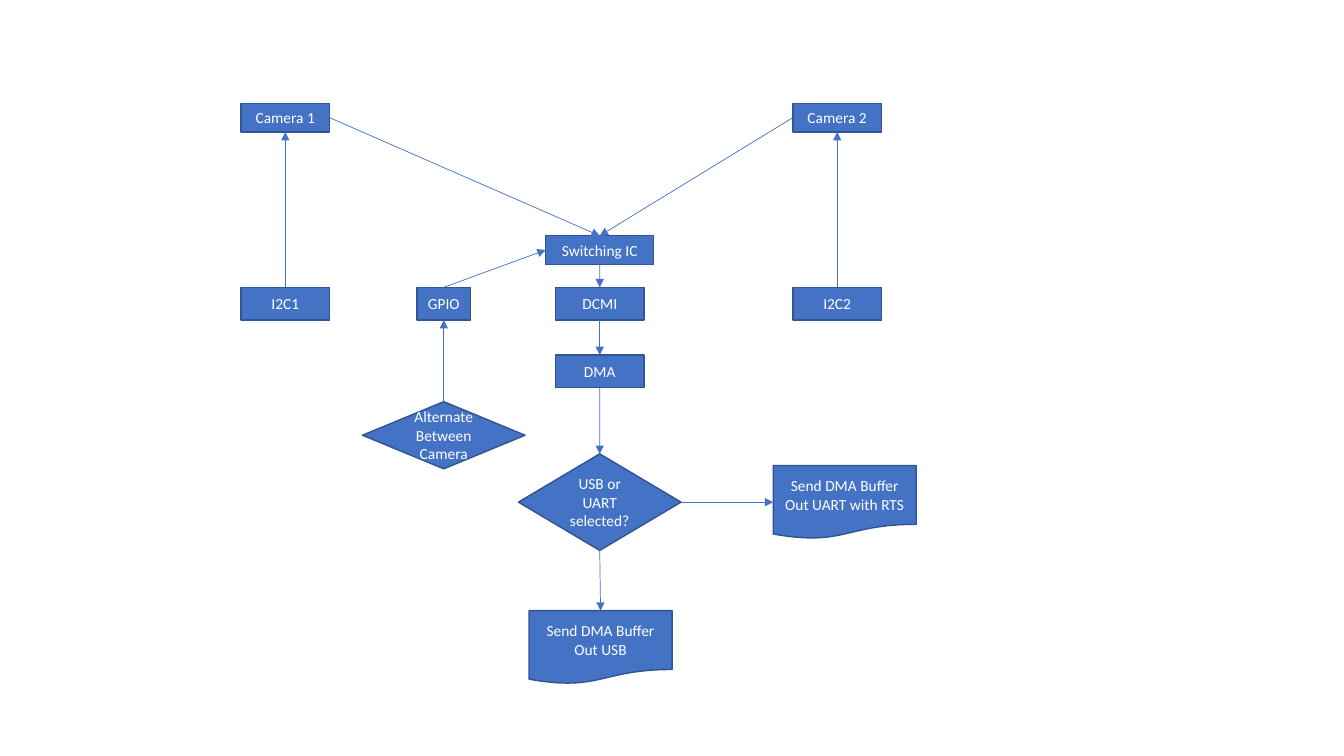
from lxml.etree import SubElement
from pptx import Presentation
from pptx.dml.color import RGBColor
from pptx.enum.shapes import MSO_CONNECTOR, MSO_SHAPE
from pptx.enum.text import MSO_ANCHOR, PP_ALIGN
from pptx.oxml.ns import qn
from pptx.util import Pt

# Content: column centres, shape kinds with their sizes, nodes and arrows
COLUMNS = {"left": 203.8, "gpio": 317, "main": 428.4, "right": 598}
CAMERA_TOP, PORT_TOP = 73.9, 205.2

KINDS = {
    "camera": (MSO_SHAPE.RECTANGLE, 63.4, 20.4),
    "switch": (MSO_SHAPE.RECTANGLE, 77.2, 20.4),
    "block": (MSO_SHAPE.RECTANGLE, 63.4, 23.4),
    "pin": (MSO_SHAPE.RECTANGLE, 38.2, 23.4),
    "flat decision": (MSO_SHAPE.FLOWCHART_DECISION, 116.2, 48),
    "decision": (MSO_SHAPE.FLOWCHART_DECISION, 116.2, 69),
    "document": (MSO_SHAPE.FLOWCHART_DOCUMENT, 102.2, 52.4),
}

# text, kind, centre, top
NODES = [
    ("Camera 1", "camera", COLUMNS["left"], CAMERA_TOP),
    ("Camera 2", "camera", COLUMNS["right"], CAMERA_TOP),
    ("Switching IC", "switch", COLUMNS["main"], 168.4),
    ("I2C1", "block", COLUMNS["left"], PORT_TOP),
    ("GPIO", "pin", COLUMNS["gpio"], PORT_TOP),
    ("DCMI", "block", COLUMNS["main"], PORT_TOP),
    ("I2C2", "block", COLUMNS["right"], PORT_TOP),
    ("DMA", "block", COLUMNS["main"], 253.6),
    ("Alternate Between Camera", "flat decision", COLUMNS["gpio"], 286.9),
    ("USB or UART selected?", "decision", COLUMNS["main"], 324.2),
    ("Send DMA Buffer Out UART with RTS", "document", 603.4, 332.5),
    ("Send DMA Buffer Out USB", "document", 429, 436.2),
]

TOP, LEFT, BOTTOM, RIGHT = range(4)
ARROWS = [
    ("Camera 1", RIGHT, "Switching IC", TOP),
    ("Camera 2", LEFT, "Switching IC", TOP),
    ("I2C1", TOP, "Camera 1", BOTTOM),
    ("I2C2", TOP, "Camera 2", BOTTOM),
    ("GPIO", TOP, "Switching IC", LEFT),
    ("Alternate Between Camera", TOP, "GPIO", BOTTOM),
    ("Switching IC", BOTTOM, "DCMI", TOP),
    ("DCMI", BOTTOM, "DMA", TOP),
    ("DMA", BOTTOM, "USB or UART selected?", TOP),
    ("USB or UART selected?", RIGHT, "Send DMA Buffer Out UART with RTS", LEFT),
    ("USB or UART selected?", BOTTOM, "Send DMA Buffer Out USB", TOP),
]

BLUE, OUTLINE, WHITE = "4472C4", "325491", "FFFFFF"


def paint(color_format, hex_color):
    color_format.rgb = RGBColor.from_string(hex_color)


def add_node(slide, text, kind, center, top):
    preset, width, height = KINDS[kind]
    shape = slide.shapes.add_shape(
        preset, Pt(center - width / 2), Pt(top), Pt(width), Pt(height))
    shape.shadow.inherit = False
    shape.fill.solid()
    paint(shape.fill.fore_color, BLUE)
    paint(shape.line.color, OUTLINE)
    shape.line.width = Pt(1)

    text_frame = shape.text_frame
    text_frame.text = text
    text_frame.word_wrap = True
    text_frame.vertical_anchor = MSO_ANCHOR.MIDDLE
    paragraph = text_frame.paragraphs[0]
    paragraph.alignment = PP_ALIGN.CENTER
    font = paragraph.runs[0].font
    font.name, font.size = "Calibri", Pt(11)
    paint(font.color, WHITE)
    return shape


def add_arrow(slide, source, source_side, target, target_side):
    connector = slide.shapes.add_connector(MSO_CONNECTOR.STRAIGHT, 0, 0, 0, 0)
    connector.begin_connect(source, source_side)
    connector.end_connect(target, target_side)
    paint(connector.line.color, BLUE)
    connector.line.width = Pt(0.5)
    properties = connector._element.spPr
    SubElement(properties.find(qn("a:ln")), qn("a:tailEnd"), type="triangle")
    SubElement(properties, qn("a:effectLst"))


def main():
    presentation = Presentation()
    presentation.slide_width, presentation.slide_height = Pt(960), Pt(540)
    slide = presentation.slides.add_slide(presentation.slide_layouts[6])

    # Flowchart shapes, then the arrows between them
    shapes = {node[0]: add_node(slide, *node) for node in NODES}
    for source, source_side, target, target_side in ARROWS:
        add_arrow(slide, shapes[source], source_side, shapes[target], target_side)

    presentation.save("out.pptx")


if __name__ == "__main__":
    main()
